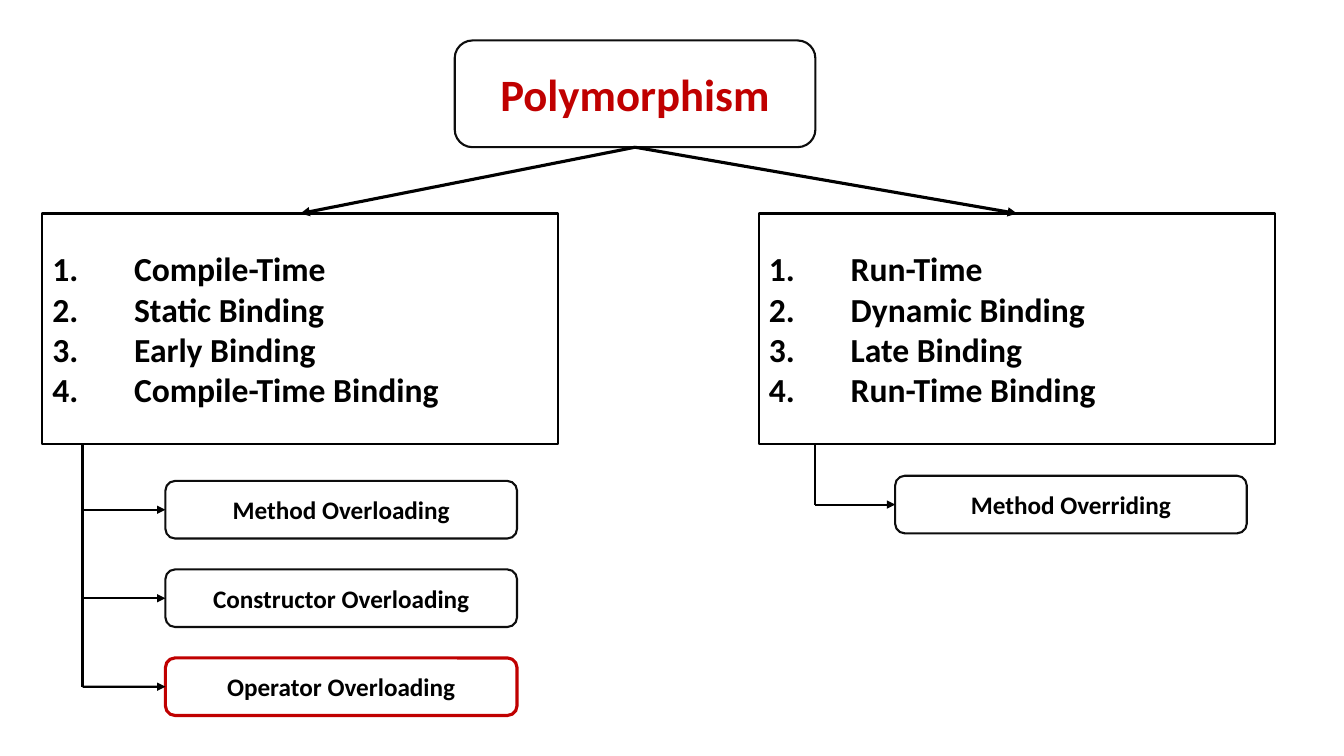
from dataclasses import dataclass

from lxml import etree
from pptx import Presentation
from pptx.dml.color import RGBColor
from pptx.enum.shapes import MSO_CONNECTOR, MSO_SHAPE
from pptx.enum.text import MSO_ANCHOR, PP_ALIGN
from pptx.oxml.ns import qn
from pptx.shapes.autoshape import Shape
from pptx.shapes.connector import Connector
from pptx.util import Cm, Pt

RECT = MSO_SHAPE.RECTANGLE
ROUND = MSO_SHAPE.ROUNDED_RECTANGLE
LINE = MSO_CONNECTOR.STRAIGHT
MIDDLE = MSO_ANCHOR.MIDDLE
LEFT = PP_ALIGN.LEFT
CENTER = PP_ALIGN.CENTER

WHITE = RGBColor(0xFF, 0xFF, 0xFF)
BLACK = RGBColor(0x00, 0x00, 0x00)
DARK = RGBColor(0x0D, 0x0D, 0x0D)
RED = RGBColor(0xC0, 0x00, 0x00)

FONT = "Calibri"
THIN, THICK = 1.5, 2.25
TOP, SIDE, BOTTOM = 0, 1, 2  # connection sites
KIND_TOP, KIND_W, KIND_H = 5.38, 13, 5.82
LEAF_W, LEAF_H, STEP = 8.86, 1.45, 2.23
INDENT = Cm(2.06)


@dataclass
class Box:
    left: float
    top: float
    width: float
    height: float
    lines: list[str]
    size: int
    form: MSO_SHAPE = ROUND
    color: RGBColor = BLACK
    edge: RGBColor = DARK
    weight: float = THIN
    listed: bool = False


@dataclass
class Branch:
    left: float
    terms: list[str]
    stem: float
    leaf_left: float
    leaf_top: float
    leaves: list[str]


BRANCHES = [
    Branch(1.07, ["Compile-Time", "Static Binding", "Early Binding",
                  "Compile-Time Binding"],
           2.08, 4.17, 12.12,
           ["Method Overloading", "Constructor Overloading",
            "Operator Overloading"]),
    Branch(19.13, ["Run-Time", "Dynamic Binding", "Late Binding",
                   "Run-Time Binding"],
           20.55, 22.56, 11.99, ["Method Overriding"]),
]
MARKED = "Operator Overloading"

deck = Presentation()
deck.slide_width, deck.slide_height = Cm(33.87), Cm(19.05)
slide = deck.slides.add_slide(deck.slide_layouts[6])


def draw_box(box: Box) -> Shape:
    shape = slide.shapes.add_shape(box.form, Cm(box.left), Cm(box.top),
                                   Cm(box.width), Cm(box.height))
    shape.shadow.inherit = False
    shape.fill.solid()
    shape.fill.fore_color.rgb = WHITE
    shape.line.color.rgb = box.edge
    shape.line.width = Pt(box.weight)
    frame = shape.text_frame
    frame.word_wrap = True
    frame.vertical_anchor = MIDDLE
    for i, text in enumerate(box.lines):
        para = frame.add_paragraph() if i else frame.paragraphs[0]
        para.alignment = LEFT if box.listed else CENTER
        if box.listed:
            props = para._p.get_or_add_pPr()
            props.set("marL", str(INDENT))
            props.set("indent", str(-INDENT))
            etree.SubElement(props, qn("a:buFont"), typeface="+mj-lt")
            etree.SubElement(props, qn("a:buAutoNum"), type="arabicPeriod")
        run = para.add_run()
        run.text = text
        run.font.name = FONT
        run.font.size = Pt(box.size)
        run.font.bold = True
        run.font.color.rgb = box.color
    return shape


def draw_line(x1: float, y1: float, x2: float, y2: float,
              weight: float = THIN, arrow: bool = True) -> Connector:
    line = slide.shapes.add_connector(LINE, Cm(x1), Cm(y1), Cm(x2), Cm(y2))
    line.line.color.rgb = BLACK
    line.line.width = Pt(weight)
    if arrow:
        etree.SubElement(line.line._get_or_add_ln(), qn("a:tailEnd"),
                         type="triangle")
    etree.SubElement(line._element.spPr, qn("a:effectLst"))
    return line


def draw_branch(branch: Branch, root: Shape) -> None:
    # Kind of binding, with its arrow from the root
    kind = draw_box(Box(branch.left, KIND_TOP, KIND_W, KIND_H, branch.terms,
                        24, RECT, edge=BLACK, listed=True))
    link = draw_line(0, 0, 1, 1, THICK)
    link.begin_connect(root, BOTTOM)
    link.end_connect(kind, TOP)

    # Stem down to the last leaf
    first = branch.leaf_top + LEAF_H / 2
    last = first + STEP * (len(branch.leaves) - 1)
    draw_line(branch.stem, KIND_TOP + KIND_H, branch.stem, last, arrow=False)

    # Leaves, each with its arrow from the stem
    for i, name in enumerate(branch.leaves):
        box = Box(branch.leaf_left, branch.leaf_top + STEP * i,
                  LEAF_W, LEAF_H, [name], 18)
        if name == MARKED:
            box.edge, box.weight = RED, THICK
        leaf = draw_box(box)
        mid = first + STEP * i
        twig = draw_line(branch.stem, mid, branch.leaf_left, mid)
        twig.end_connect(leaf, SIDE)


# Root and its two branches
root = draw_box(Box(11.46, 1.02, 9.09, 2.69, ["Polymorphism"], 32, color=RED))
for branch in BRANCHES:
    draw_branch(branch, root)

deck.save("out.pptx")
